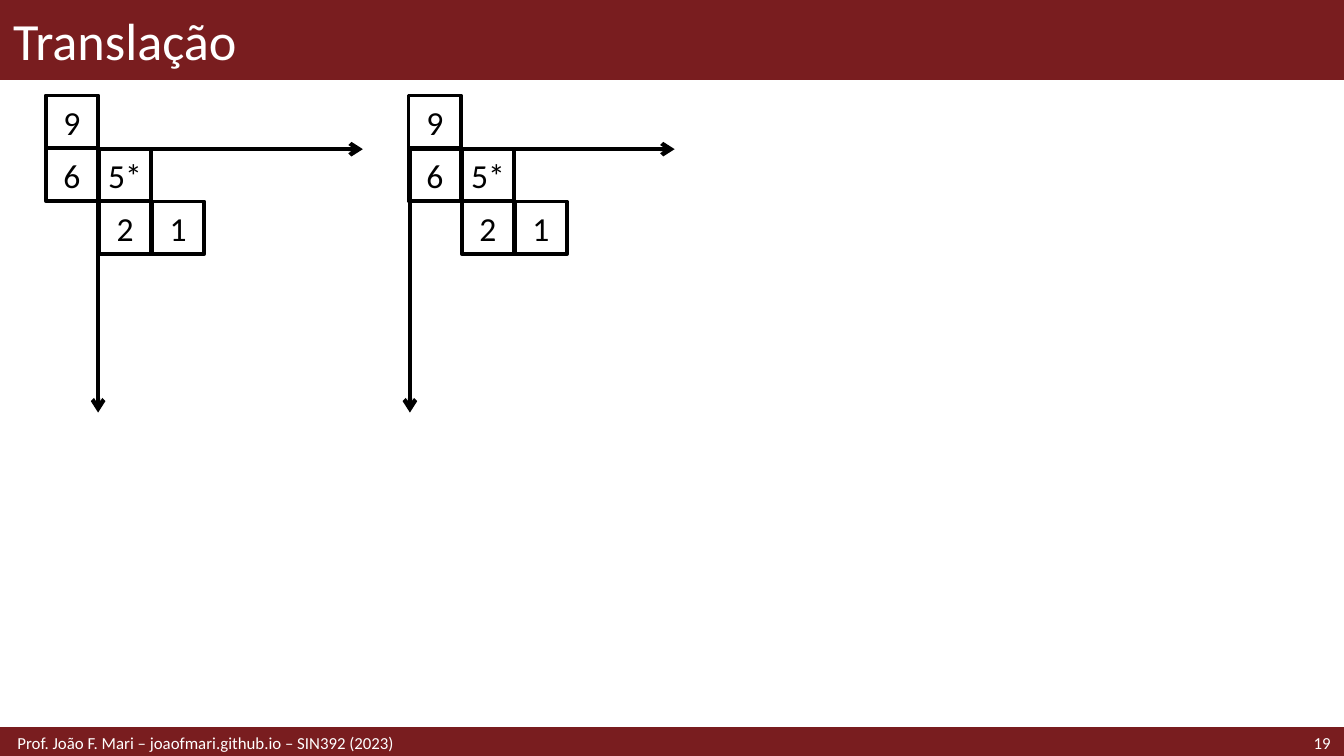
from lxml import etree
from pptx import Presentation
from pptx.dml.color import RGBColor
from pptx.enum import shapes, text
from pptx.oxml import ns
from pptx.util import Inches, Pt

COLORS = {"wine": "791D1F", "white": "FFFFFF", "ink": "000000"}
PITCH = 0.79 / 2
CELL = 0.39
CHAIN = [("1", 2, 2), ("2", 1, 2), ("5*", 1, 1), ("6", 0, 1), ("9", 0, 0)]

prs = Presentation()
prs.slide_width = Inches(10)
prs.slide_height = Inches(10 * 9 / 16)
slide = prs.slides.add_slide(prs.slide_layouts[6])


def write(shape, content, size, color, align=text.PP_ALIGN.LEFT, inset=0.1):
    frame = shape.text_frame
    frame.word_wrap = True
    frame.vertical_anchor = text.MSO_ANCHOR.MIDDLE
    frame.margin_left = frame.margin_right = Inches(inset)
    frame.margin_top = frame.margin_bottom = Inches(0)
    paragraph = frame.paragraphs[0]
    paragraph.alignment = align
    run = paragraph.add_run()
    run.text = content
    run.font.name = "Calibri"
    run.font.size = Pt(size)
    run.font.color.rgb = RGBColor.from_string(COLORS[color])


def add_rectangle(left, top, width, height, line_color, line_width, fill=None):
    rectangle = slide.shapes.add_shape(
        shapes.MSO_SHAPE.RECTANGLE, Inches(left), Inches(top), Inches(width), Inches(height))
    rectangle.shadow.inherit = False
    if fill:
        rectangle.fill.solid()
        rectangle.fill.fore_color.rgb = RGBColor.from_string(COLORS[fill])
    else:
        rectangle.fill.background()
    rectangle.line.color.rgb = RGBColor.from_string(COLORS[line_color])
    rectangle.line.width = Pt(line_width)
    return rectangle


add_rectangle(0, 0, 10, 0.59, "wine", 1, "wine")
add_rectangle(0, 5.42, 10, 0.21, "wine", 2, "wine")

title = slide.shapes.add_textbox(0, 0, Inches(10), Inches(0.59))
write(title, "Translação", 28, "white")
page_number = slide.shapes.add_textbox(Inches(8.86), Inches(5.42), Inches(1.14), Inches(0.21))
write(page_number, "19", 9, "white", text.PP_ALIGN.RIGHT)
footer = slide.shapes.add_textbox(0, Inches(5.42), Inches(6.89), Inches(0.21))
write(footer, "Prof. João F. Mari – joaofmari.github.io – SIN392 (2023)", 9, "white", inset=0.13)

for origin_x, chain_left in [(0.73, 0.34), (3.05, 3.04)]:
    origin_y = 1.11
    for end_x, end_y in [(origin_x, 3.07), (origin_x + 1.97, origin_y)]:
        axis = slide.shapes.add_connector(
            shapes.MSO_CONNECTOR.STRAIGHT,
            Inches(origin_x), Inches(origin_y), Inches(end_x), Inches(end_y))
        axis.line.color.rgb = RGBColor.from_string(COLORS["ink"])
        axis.line.width = Pt(2.25)
        etree.SubElement(axis.line._get_or_add_ln(), ns.qn("a:tailEnd"), type="arrow")
        etree.SubElement(axis._element.spPr, ns.qn("a:effectLst"))

    for label, column, row in CHAIN:
        cell = add_rectangle(
            chain_left + column * PITCH, 0.71 + row * PITCH, CELL, CELL, "ink", 2)
        write(cell, label, 18, "ink", text.PP_ALIGN.CENTER, inset=0.04)

prs.save("out.pptx")
